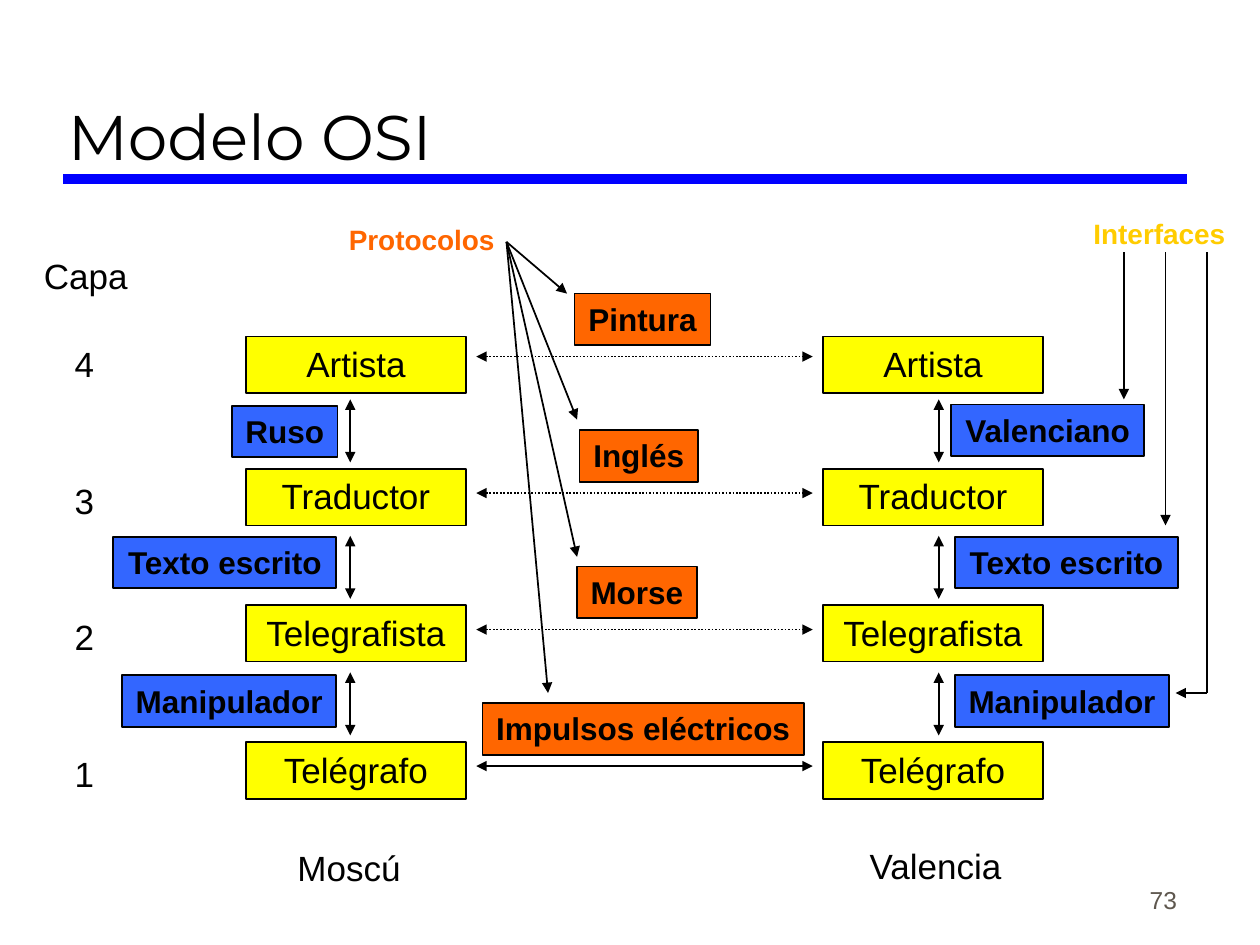
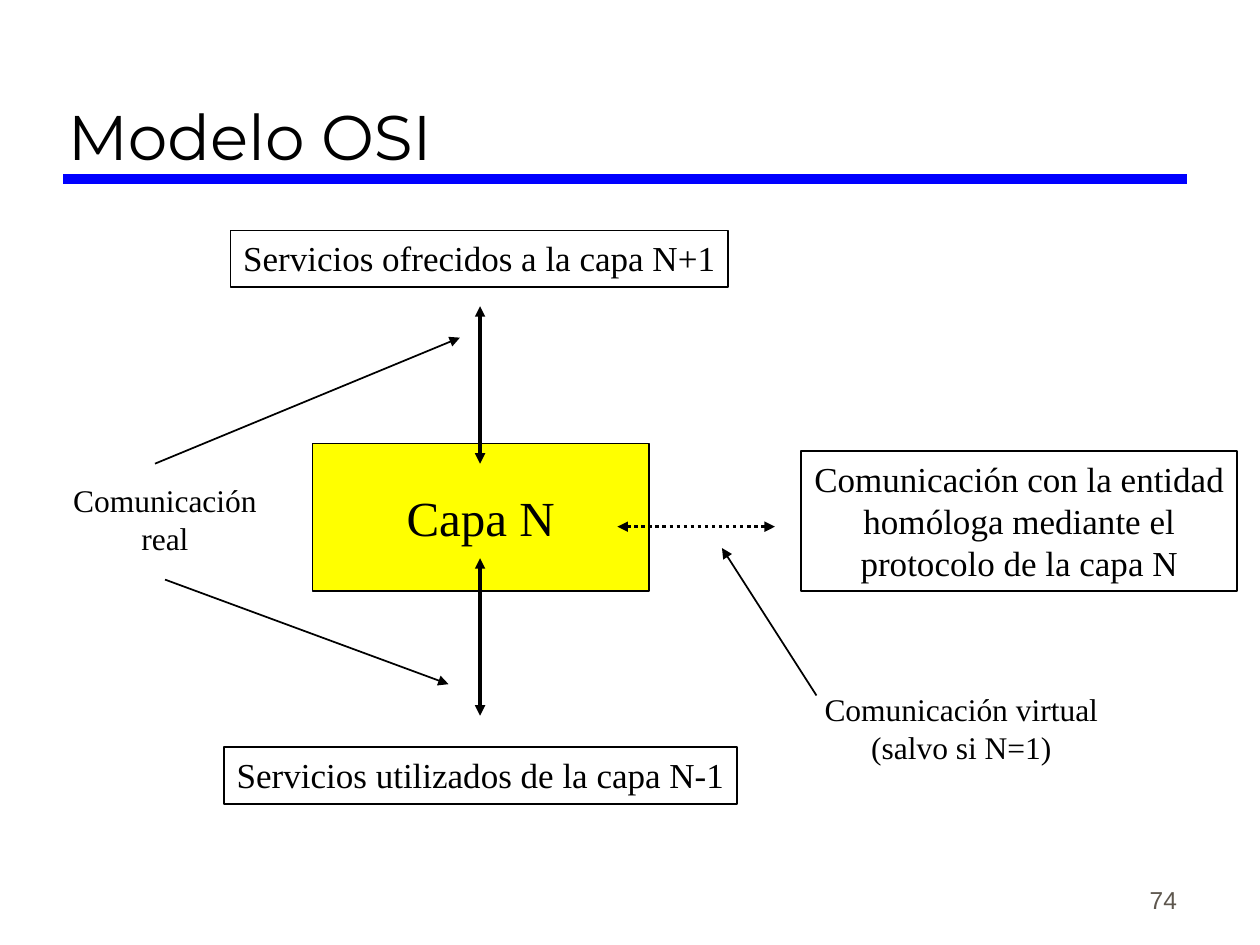
"""Build two slides on the layers of the OSI model."""
import dataclasses

import lxml.etree
import pptx
import pptx.dml.color
import pptx.enum.dml
import pptx.enum.shapes
import pptx.enum.text
import pptx.oxml.ns
import pptx.util

Inches = pptx.util.Inches
Align = pptx.enum.text.PP_ALIGN
Anchor = pptx.enum.text.MSO_ANCHOR


@dataclasses.dataclass(frozen=True)
class Theme:
    black: str = "000000"
    rule: str = "0000FF"
    number: str = "5E574E"
    layer: str = "FFFF00"
    protocol: str = "FF6600"
    interface: str = "3366FF"
    interface_title: str = "FFCC00"
    sans: str = "Arial"
    serif: str = "Times New Roman"
    display: str = "Montserrat"
    title_size: int = 36
    core_size: int = 28
    main_size: int = 20
    label_size: int = 18
    legend_size: int = 16
    number_size: int = 14
    rule_width: int = 6
    heavy: int = 2
    thin: int = 1


THEME = Theme()
PITCH = 13 / 12


def rgb(value):
    return pptx.dml.color.RGBColor.from_string(value)


def write(shape, text, size, font=THEME.sans, color=THEME.black, bold=False,
          align=Align.CENTER, anchor=Anchor.TOP, wrap=False):
    frame = shape.text_frame
    frame_format = {"word_wrap": wrap, "vertical_anchor": anchor}
    for name, value in frame_format.items():
        setattr(frame, name, value)
    font_format = {"size": pptx.util.Pt(size), "name": font, "bold": bold}
    for index, line in enumerate(text.split("\n")):
        para = frame.add_paragraph() if index else frame.paragraphs[0]
        para.alignment = align
        span = para.add_run()
        span.text = line
        for name, value in font_format.items():
            setattr(span.font, name, value)
        span.font.color.rgb = rgb(color)


def add_text(page, at, text, size, **text_format):
    box = page.shapes.add_textbox(*map(Inches, at))
    write(box, text, size, **text_format)


def add_box(page, at, text, size, fill=None, **text_format):
    box = page.shapes.add_shape(
        pptx.enum.shapes.MSO_SHAPE.RECTANGLE, *map(Inches, at))
    box.shadow.inherit = False
    if fill:
        box.fill.solid()
        box.fill.fore_color.rgb = rgb(fill)
    else:
        box.fill.background()
    box.line.color.rgb = rgb(THEME.black)
    box.line.width = pptx.util.Pt(THEME.thin)
    write(box, text, size, **text_format)


def add_line(page, start, end, ends=("tailEnd",), width=THEME.thin,
             color=THEME.black, dotted=False):
    connector = page.shapes.add_connector(
        pptx.enum.shapes.MSO_CONNECTOR.STRAIGHT, *map(Inches, (*start, *end)))
    connector.line.color.rgb = rgb(color)
    connector.line.width = pptx.util.Pt(width)
    if dotted:
        connector.line.dash_style = pptx.enum.dml.MSO_LINE.ROUND_DOT
    qn = pptx.oxml.ns.qn
    properties = connector.element.spPr
    outline = properties.find(qn("a:ln"))
    for name in ends:
        lxml.etree.SubElement(outline, qn(f"a:{name}"), type="triangle")
    lxml.etree.SubElement(properties, qn("a:effectLst"))


def add_double_arrow(page, start, end, **line_format):
    add_line(page, start, end, ends=("headEnd", "tailEnd"), **line_format)


def add_page(deck, number):
    page = deck.slides.add_slide(deck.slide_layouts[6])
    add_line(page, (0.5, 1.42), (9.42, 1.42), ends=(),
             width=THEME.rule_width, color=THEME.rule)
    add_text(page, (7.36, 6.81, 2.08, 0.5), number, THEME.number_size,
             color=THEME.number, align=Align.RIGHT, anchor=Anchor.BOTTOM,
             wrap=True)
    add_text(page, (0.44, 0.17, 8.97, 1.25), "Modelo OSI", THEME.title_size,
             font=THEME.display, align=Align.LEFT, anchor=Anchor.BOTTOM,
             wrap=True)
    return page


def add_layers(page):
    layers = [("Artista", 2.67), ("Traductor", 3.72),
              ("Telegrafista", 4.8), ("Telégrafo", 5.89)]
    add_text(page, (0.25, 1.97, 0.87, 0.43), "Capa", THEME.main_size,
             align=Align.LEFT)
    for index, (name, top) in enumerate(layers):
        offset = index * PITCH
        for left in (1.95, 6.53):
            add_box(page, (left, top, 1.75, 0.45), name, THEME.main_size,
                    fill=THEME.layer)
        add_text(page, (0.49, 2.67 + offset, 0.36, 0.43),
                 str(len(layers) - index), THEME.main_size)
        is_physical = index == len(layers) - 1
        add_double_arrow(page, (3.78, 2.83 + offset), (6.45, 2.83 + offset),
                         dotted=not is_physical)
        if not is_physical:
            for middle in (2.78, 7.45):
                add_double_arrow(page, (middle, 3.17 + offset),
                                 (middle, 3.67 + offset))
    add_text(page, (2.26, 6.67, 1.02, 0.43), "Moscú", THEME.main_size)
    add_text(page, (6.79, 6.65, 1.27, 0.43), "Valencia", THEME.main_size)


def add_protocols(page):
    protocols = [("Pintura", 4.56, 1.08, (4.5, 2.33)),
                 ("Inglés", 4.6, 0.94, (4.58, 3.33)),
                 ("Morse", 4.58, 0.95, (4.58, 4.42)),
                 ("Impulsos eléctricos", 3.83, 2.55, (4.35, 5.5))]
    add_text(page, (2.67, 1.72, 1.36, 0.37), "Protocolos", THEME.legend_size,
             color=THEME.protocol, bold=True, align=Align.LEFT)
    for index, (name, left, width, target) in enumerate(protocols):
        add_box(page, (left, 2.33 + index * PITCH, width, 0.41), name,
                THEME.label_size, fill=THEME.protocol, bold=True)
        add_line(page, (4.02, 1.92), target)


def add_interfaces(page):
    interfaces = [("Ruso", 1.84, 3.22, 0.84),
                  ("Valenciano", 7.55, 3.21, 1.53),
                  ("Texto escrito", 0.9, 4.26, 1.77),
                  ("Texto escrito", 7.58, 4.26, 1.77),
                  ("Manipulador", 0.97, 5.36, 1.7),
                  ("Manipulador", 7.58, 5.36, 1.7)]
    add_text(page, (8.58, 1.67, 1.25, 0.37), "Interfaces", THEME.legend_size,
             color=THEME.interface_title, bold=True, align=Align.LEFT)
    for name, left, top, width in interfaces:
        add_box(page, (left, top, width, 0.41), name, THEME.label_size,
                fill=THEME.interface, bold=True)
    add_line(page, (8.92, 2), (8.92, 3.17))
    add_line(page, (9.25, 2), (9.25, 4.17))
    add_line(page, (9.58, 2), (9.58, 5.5), ends=())
    add_line(page, (9.58, 5.5), (9.33, 5.5))


def add_layer_services(page):
    add_box(page, (2.48, 3.52, 2.67, 1.17), "Capa N", THEME.core_size,
            fill=THEME.layer, font=THEME.serif, anchor=Anchor.MIDDLE)
    for top in (2.43, 4.43):
        add_double_arrow(page, (3.81, top), (3.81, top + 1.25),
                         width=THEME.heavy)
    add_double_arrow(page, (4.9, 4.18), (6.15, 4.18), width=THEME.heavy,
                     dotted=True)
    services = [
        ((1.83, 1.83, 3.95, 0.45), "Servicios ofrecidos a la capa N+1"),
        ((1.78, 5.93, 4.07, 0.45), "Servicios utilizados de la capa N-1"),
        ((6.36, 3.58, 3.46, 1.11), "Comunicación con la entidad\n"
         "homóloga mediante el\nprotocolo de la capa N")]
    for at, text in services:
        add_box(page, at, text, THEME.main_size, font=THEME.serif)


def add_communication_notes(page):
    notes = [((0.48, 3.77, 1.66, 0.7), "Comunicación\nreal"),
             ((6.44, 5.43, 2.38, 0.7), "Comunicación virtual\n(salvo si N=1)")]
    for at, text in notes:
        add_text(page, at, text, THEME.label_size, font=THEME.serif)
    pointers = [((1.23, 3.68), (3.65, 2.68)), ((1.31, 4.6), (3.56, 5.43)),
                ((6.48, 5.52), (5.73, 4.35))]
    for start, end in pointers:
        add_line(page, start, end)


def main():
    deck = pptx.Presentation()
    deck.slide_width, deck.slide_height = Inches(10), Inches(7.5)
    analogy = add_page(deck, "73")
    add_layers(analogy)
    add_protocols(analogy)
    add_interfaces(analogy)
    layer = add_page(deck, "74")
    add_layer_services(layer)
    add_communication_notes(layer)
    deck.save("out.pptx")


if __name__ == "__main__":
    main()
